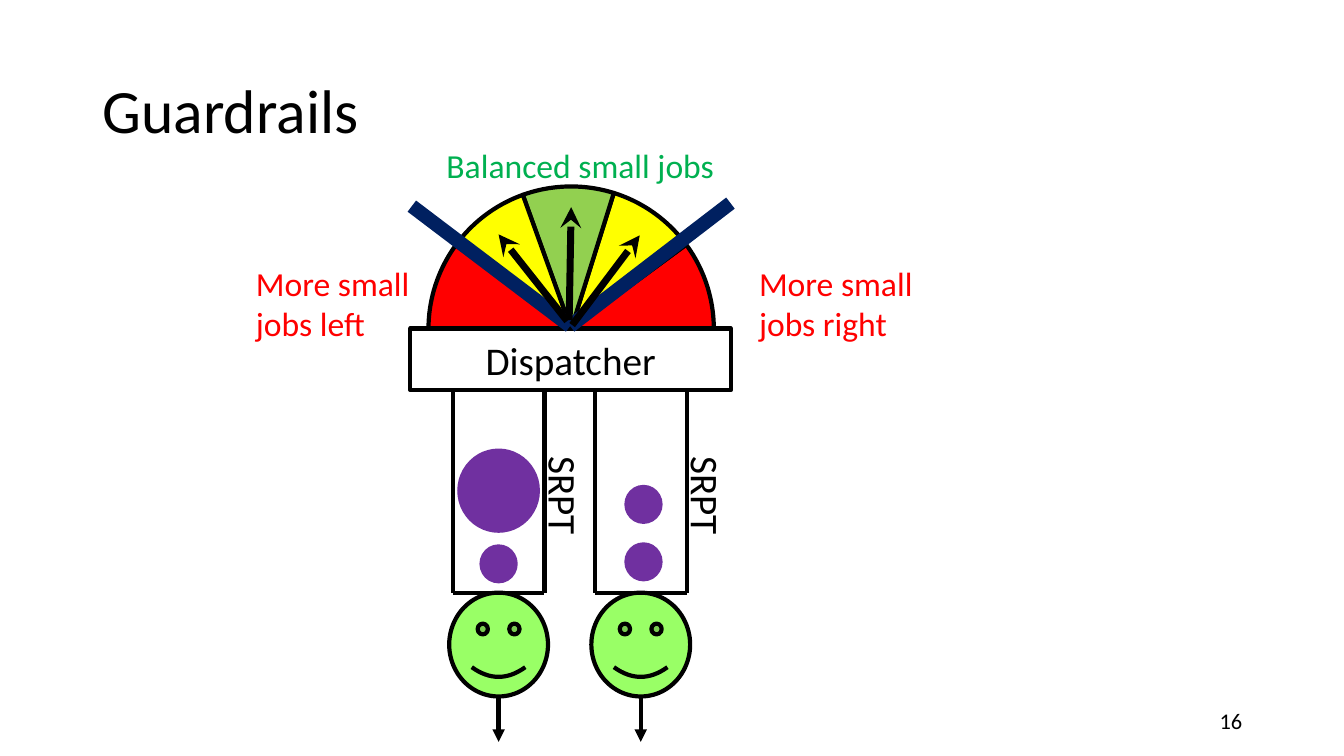
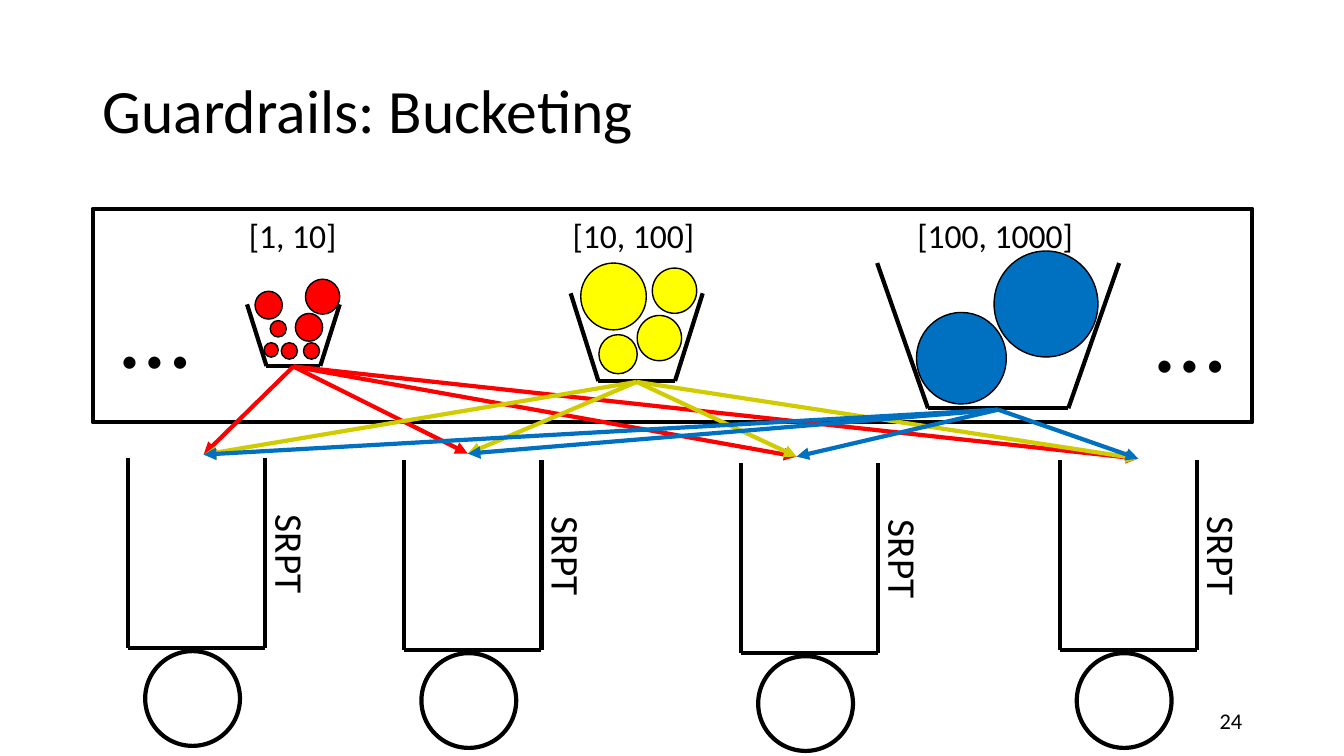
import pptx
import pptx.util
import pptx.dml.color
import pptx.enum.shapes
import pptx.enum.text
import pptx.oxml.ns
import lxml.etree

RGB = pptx.dml.color.RGBColor
KIND = pptx.enum.shapes.MSO_SHAPE
ALIGN = pptx.enum.text.PP_ALIGN
ANCHOR = pptx.enum.text.MSO_ANCHOR

BLACK, WHITE = RGB(0, 0, 0), RGB(255, 255, 255)
RED, YELLOW, BLUE = RGB(255, 0, 0), RGB(255, 255, 0), RGB(0, 0x70, 0xC0)
LIME, GREEN, MINT = RGB(0x92, 0xD0, 0x50), RGB(0, 0xB0, 0x50), RGB(0x99, 0xFF, 0x66)
PURPLE, NAVY, OLIVE = RGB(0x70, 0x30, 0xA0), RGB(0, 0x20, 0x60), RGB(0xD1, 0xCC, 0)
FONT = "Calibri"

# The grid has cells one inch square; boxes are (column, row, width, height)
COLS, ROWS = 13.33, 7.5
CELL = pptx.util.Inches(1)


def grid(*cells):
    return [round(n * CELL) for n in cells]


def point(box, across, down):
    """Point at the given shares of a box."""
    x, y, w, h = box
    return x + across * w, y + down * h


def write(shape, text, size=24, color=BLACK, align=ALIGN.LEFT,
          anchor=ANCHOR.TOP, spacing=None):
    frame = shape.text_frame
    frame.word_wrap = True
    frame.vertical_anchor = anchor
    para = frame.paragraphs[0]
    para.alignment = align
    if spacing:
        para.line_spacing = spacing
    run = para.add_run()
    run.text = text
    run.font.name, run.font.size = FONT, pptx.util.Pt(size)
    run.font.color.rgb = color


def label(slide, box, text, turn=0, **style):
    shape = slide.shapes.add_textbox(*grid(*box))
    shape.rotation = turn
    write(shape, text, **style)


def draw(slide, kind, box, fill=None, line=BLACK, width=3):
    shape = slide.shapes.add_shape(kind, *grid(*box))
    shape.shadow.inherit = False
    if fill is None:
        shape.fill.background()
    else:
        shape.fill.solid()
        shape.fill.fore_color.rgb = fill
    if line is None:
        shape.line.fill.background()
    else:
        shape.line.color.rgb = line
        shape.line.width = pptx.util.Pt(width)
    return shape


def trace(slide, *points, color=BLACK, width=3, head=None):
    """Join the points by straight lines, each with an optional arrowhead."""
    qn = pptx.oxml.ns.qn
    for start, end in zip(points, points[1:]):
        link = slide.shapes.add_connector(
            pptx.enum.shapes.MSO_CONNECTOR.STRAIGHT, *grid(*start, *end))
        link.line.color.rgb = color
        link.line.width = pptx.util.Pt(width)
        if head:
            lxml.etree.SubElement(link.line._get_or_add_ln(), qn("a:tailEnd"), type=head)
        lxml.etree.SubElement(link._element.spPr, qn("a:effectLst"))


def base(deck, title, number):
    """Blank slide with the shared title and page number."""
    slide = deck.slides.add_slide(deck.slide_layouts[6])
    label(slide, (0.92, 0.4, 11.5, 1.45), title, size=44,
          anchor=ANCHOR.MIDDLE, spacing=0.9)
    label(slide, (9.42, 6.95, 3, 0.4), str(number), size=16,
          align=ALIGN.RIGHT, anchor=ANCHOR.MIDDLE)
    return slide


def queue(slide, box, tag):
    """Open-topped queue; tag is the label's offset from the top right."""
    trace(slide, *[point(box, *p) for p in ((0, 0), (0, 1), (1, 1), (1, 0))])
    x, y = point(box, 1, 0)
    label(slide, (x + tag[0], y + tag[1], 1.7, 0.5), "SRPT", turn=90, size=28)


def dial(slide, box):
    """Half circle cut into five wedges, from right to left."""
    edges = (90, 53.7, 17.4, -19.8, -53.6, -90)
    fills = (RED, YELLOW, LIME, YELLOW, RED)
    for right, left, fill in zip(edges, edges[1:], fills):
        wedge = draw(slide, KIND.PIE, box, fill)
        wedge.adjustments[0] = (270 - right + left) * 0.6
        wedge.adjustments[1] = 162
        wedge.rotation = right


def rails(slide, box):
    """Guardrails and pointers, set out from the hub of the dial."""
    hub = point(box, 0.5, 0.5)

    def near(dx, dy):
        return hub[0] + dx, hub[1] + dy

    trace(slide, near(-1.58, -1.22), near(-0.01, -0.03), near(1.58, -1.25),
          color=NAVY, width=10)
    for start, end in (((-0.02, -0.09), (0, -1.21)),
                       ((-0.04, -0.08), (-0.72, -0.94)),
                       ((0.01, -0.04), (0.68, -0.93))):
        trace(slide, near(*start), near(*end), width=5, head="stealth")


def server(slide, box, jobs):
    """Queue of jobs above a smiling server; jobs are (share, row, size)."""
    queue(slide, box, (-0.62, 1.22))
    for across, down, size in jobs:
        x, y = point(box, across, 0)
        draw(slide, KIND.OVAL, (x - size / 2, y + down, size, size * 1.02),
             PURPLE, line=None)
    x, y = point(box, 0.5, 1)
    draw(slide, KIND.SMILEY_FACE, (x - 0.49, y, 0.98, 1.03), MINT)
    trace(slide, (x, y + 1.02), (x, y + 1.48), head="triangle")


def bucket(slide, box, balls, fill):
    """Bucket with tapered sides; balls are (column, row, size) inside it."""
    trace(slide, *[point(box, *p) for p in ((0, 0), (0.21, 1), (0.79, 1), (1, 0))])
    for dx, dy, size in balls:
        draw(slide, KIND.OVAL, (box[0] + dx, box[1] + dy, size, size * 1.02),
             fill, width=1)


def rail_slide(deck):
    slide = base(deck, "Guardrails", 16)
    # Servers
    server(slide, (4.49, 3.81, 0.91, 2.07), ((0.5, 1.59, 0.38), (0.5, 0.64, 0.82)))
    server(slide, (5.9, 3.81, 0.91, 2.07), ((0.53, 1.57, 0.38), (0.53, 1, 0.38)))
    # Dispatcher with its dial
    disc = (4.25, 1.85, 2.83, 2.83)
    dial(slide, disc)
    desk = draw(slide, KIND.RECTANGLE, (4.07, 3.26, 3.18, 0.61), WHITE)
    write(desk, "Dispatcher", size=28, align=ALIGN.CENTER, anchor=ANCHOR.MIDDLE)
    rails(slide, disc)
    # Labels
    label(slide, (2.44, 2.56, 1.73, 0.91), "More small jobs left", color=RED)
    label(slide, (7.43, 2.56, 1.73, 0.91), "More small jobs right", color=RED)
    label(slide, (4.33, 1.39, 2.91, 0.5), "Balanced small jobs", color=GREEN)


def bucket_slide(deck):
    slide = base(deck, "Guardrails: Bucketing", 24)
    draw(slide, KIND.RECTANGLE, (0.92, 2.07, 11.5, 2.12), WHITE)
    # Buckets: range, label column and width, box, fill, arrow colour, balls
    buckets = (
        ("[1, 10]", 2.37, 1.17, (2.45, 3.02, 0.92, 0.61), RED, RED,
         ((0.17, 0.38, 0.14), (0.56, 0.38, 0.16), (0.34, 0.38, 0.16),
          (0.23, 0.16, 0.16), (0.48, 0.09, 0.27), (0.08, -0.13, 0.27),
          (0.58, -0.25, 0.34))),
        ("[10, 100]", 5.58, 1.48, (5.66, 2.91, 1.31, 0.87), YELLOW, OLIVE,
         ((0.28, 0.41, 0.38), (0.81, -0.25, 0.44), (0.66, 0.22, 0.44),
          (0.1, -0.3, 0.65))),
        ("[100, 1000]", 9, 1.96, (8.7, 2.61, 2.4, 1.44), BLUE, BLUE,
         ((0.39, 0.49, 0.89), (1.16, -0.12, 1.03))),
    )
    for text, left, width, box, fill, _, balls in buckets:
        bucket(slide, box, balls, fill)
        label(slide, (left, 2.08, width, 0.5), text)
    for left, top in ((1.1, 2.61), (11.36, 2.65)):
        label(slide, (left, top, 0.99, 1.31), "…", size=72)
    # Queues with idle servers
    for left, top in ((1.27, 4.54), (4.01, 4.56), (7.35, 4.59), (10.51, 4.56)):
        queue(slide, (left, top, 1.36, 1.89), (-0.56, 1.07))
        draw(slide, KIND.OVAL, (left + 0.17, top + 1.92, 0.94, 0.94))
    # Arrows from every bucket to every queue
    ends = ((2.02, 4.51), (4.64, 4.5), (7.9, 4.53), (11.29, 4.55))
    for _, _, _, box, _, color, _ in buckets:
        for end in ends:
            trace(slide, point(box, 0.5, 1.01), end, color=color, head="triangle")


def main():
    deck = pptx.Presentation()
    deck.slide_width, deck.slide_height = grid(COLS, ROWS)
    rail_slide(deck)
    bucket_slide(deck)
    deck.save("out.pptx")


if __name__ == "__main__":
    main()
